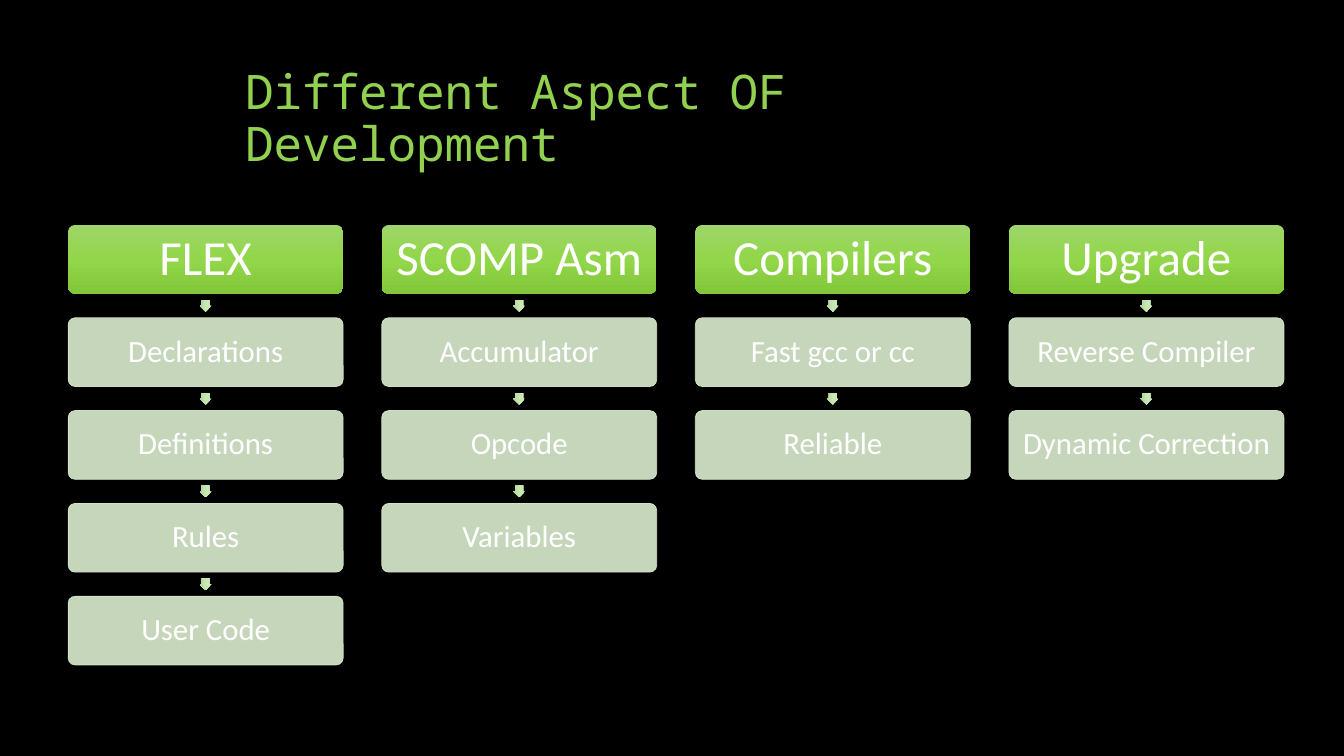
from copy import deepcopy

from lxml.etree import SubElement
from pptx import Presentation
from pptx.dml.color import RGBColor
from pptx.enum.shapes import MSO_SHAPE
from pptx.enum.text import MSO_ANCHOR, PP_ALIGN
from pptx.oxml.ns import qn
from pptx.util import Pt

COLUMNS = {
    "FLEX": ["Declarations", "Definitions", "Rules", "User Code"],
    "SCOMP Asm": ["Accumulator", "Opcode", "Variables"],
    "Compilers": ["Fast gcc or cc", "Reliable"],
    "Upgrade": ["Reverse Compiler", "Dynamic Correction"],
}
HEADING_GRADIENT = ["9ED669", "92D64A", "82C63A"]
ARROW_GRADIENT = ["CFE9BD", "C7E7B0", "B0D199"]
GRID_LEFT, GRID_TOP = 48.7, 160.7
COLUMN_PITCH = 224
CARD_WIDTH = 196.4
CARD_HEIGHT = CARD_WIDTH / 4
ARROW_SIZE = 8.6
ARROW_GAP = ARROW_SIZE / 2
ROW_PITCH = CARD_HEIGHT + ARROW_SIZE + 2 * ARROW_GAP


def color(value):
    return RGBColor.from_string(value)


def fill_gradient(shape, values):
    shape.fill.gradient()
    shape.fill.gradient_angle = 270
    stop_list = shape._element.spPr.find(".//" + qn("a:gsLst"))
    stop_list.append(deepcopy(stop_list[0]))
    for index, (stop, value) in enumerate(zip(shape.fill.gradient_stops, values)):
        stop.position = index / 2
        stop.color.rgb = color(value)
    shape.line.fill.background()


def fill_translucent(shape, value):
    shape.fill.solid()
    shape.fill.fore_color.rgb = color(value)
    shape.line.color.rgb = color(value)
    shape.line.width = Pt(0.5)
    for tint in shape._element.spPr.iter(qn("a:srgbClr")):
        SubElement(tint, qn("a:alpha"), val="90000")


def write(frame, text, size, font_name, font_color, align, anchor):
    frame.word_wrap = True
    frame.vertical_anchor = anchor
    paragraph = frame.paragraphs[0]
    paragraph.text = text
    paragraph.alignment = align
    paragraph.line_spacing = 0.9
    paragraph.font.size = Pt(size)
    paragraph.font.name = font_name
    paragraph.font.color.rgb = color(font_color)


def add_title(slide, text):
    title = slide.shapes.add_textbox(Pt(168), Pt(36), Pt(612), Pt(90))
    write(title.text_frame, text, 34, "Noto Sans Mono", "92D050",
          PP_ALIGN.LEFT, MSO_ANCHOR.BOTTOM)


def add_card(slide, left, top, text, size, inset):
    card = slide.shapes.add_shape(MSO_SHAPE.ROUNDED_RECTANGLE, Pt(left), Pt(top),
                                  Pt(CARD_WIDTH), Pt(CARD_HEIGHT))
    card.adjustments[0] = 0.1
    card.shadow.inherit = False
    frame = card.text_frame
    frame.margin_left = frame.margin_right = Pt(inset)
    frame.margin_top = frame.margin_bottom = Pt(inset)
    write(frame, text, size, "Calibri", "FFFFFF", PP_ALIGN.CENTER, MSO_ANCHOR.MIDDLE)
    return card


def add_arrow(slide, left, top):
    arrow = slide.shapes.add_shape(MSO_SHAPE.RIGHT_ARROW, Pt(left), Pt(top),
                                   Pt(ARROW_SIZE), Pt(ARROW_SIZE))
    arrow.rotation = 90
    arrow.adjustments[0] = 0.67
    arrow.adjustments[1] = 0.5
    arrow.shadow.inherit = False
    fill_gradient(arrow, ARROW_GRADIENT)


def add_column(slide, left, heading, items):
    heading_card = add_card(slide, left, GRID_TOP, heading, 35, 3.5)
    fill_gradient(heading_card, HEADING_GRADIENT)
    for row, item in enumerate(items, start=1):
        top = GRID_TOP + row * ROW_PITCH
        add_arrow(slide, left + (CARD_WIDTH - ARROW_SIZE) / 2,
                  top - ARROW_GAP - ARROW_SIZE)
        item_card = add_card(slide, left, top, item, 22, 2.2)
        fill_translucent(item_card, "DCEED0")


def main():
    deck = Presentation()
    deck.slide_width, deck.slide_height = Pt(960), Pt(540)
    slide = deck.slides.add_slide(deck.slide_layouts[6])
    slide.background.fill.solid()
    slide.background.fill.fore_color.rgb = color("000000")
    add_title(slide, "Different Aspect OF Development")
    for column, (heading, items) in enumerate(COLUMNS.items()):
        add_column(slide, GRID_LEFT + column * COLUMN_PITCH, heading, items)
    deck.save("out.pptx")


if __name__ == "__main__":
    main()
